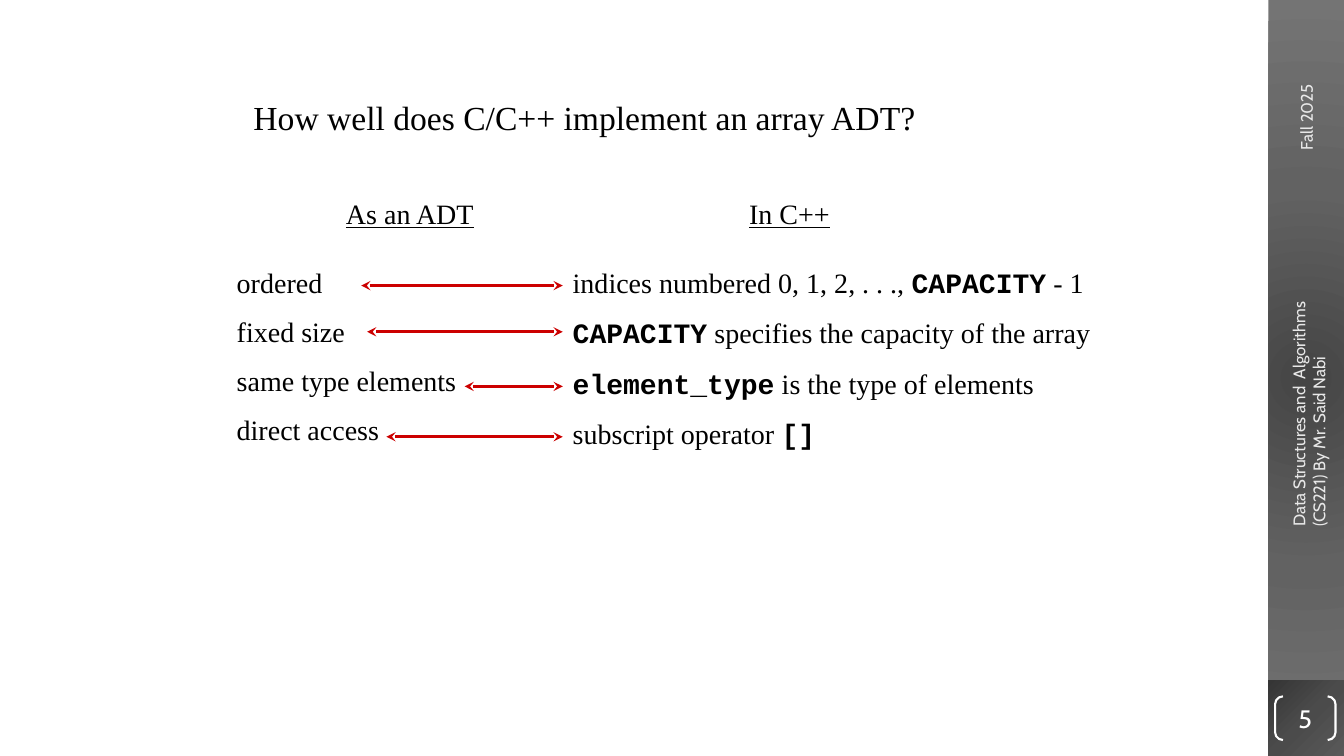
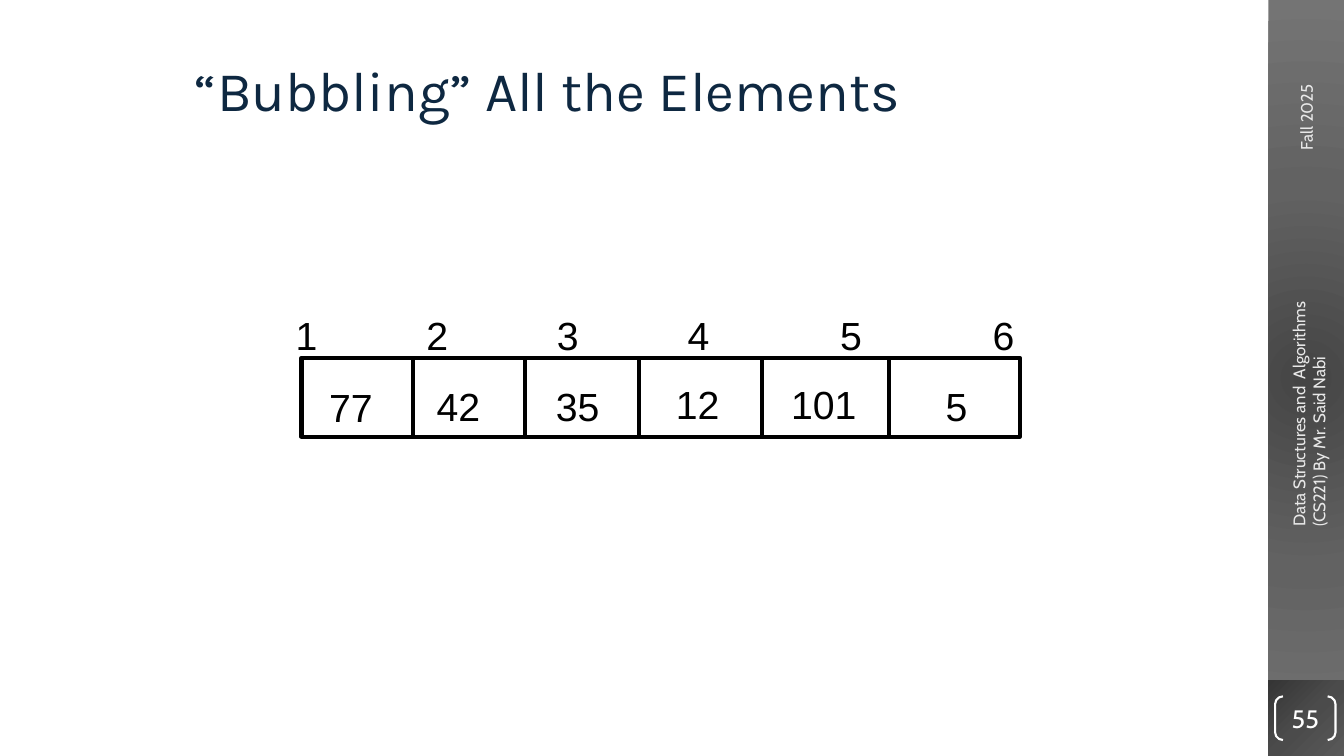
from dataclasses import dataclass
from itertools import accumulate
from typing import Any, NamedTuple, Sequence

from lxml.etree import SubElement
from pptx import Presentation
from pptx.dml.color import RGBColor
from pptx.enum.shapes import MSO_CONNECTOR, MSO_SHAPE
from pptx.enum.text import MSO_ANCHOR, PP_ALIGN
from pptx.oxml.ns import qn
from pptx.util import Inches, Length, Pt

COLS, ROWS = 160, 90  # square grid of 1/12 inch


@dataclass(frozen=True)
class Theme:
    ink: str = "000000"
    navy: str = "0E2841"
    red: str = "CC0000"
    pale: str = "E8E8E8"
    white: str = "FFFFFF"
    band: tuple[str, ...] = ("454545", "626262", "747474")
    badge: tuple[str, ...] = ("353535", "4B4B4B", "595959")
    serif: str = "Times New Roman"
    mono: str = "Courier New"
    sans: str = "Arial"
    head: str = "Karla"
    foot: str = "Cabin"
    thin: float = 1.5
    mid: float = 2.25
    thick: float = 3
    gap: int = 11

    def style(self, kind: str) -> dict[str, Any]:
        """Font values for one kind of text."""
        face, size, tint, more = {
            "ask": (self.serif, 24, self.ink, {}),
            "body": (self.serif, 20, self.ink, {}),
            "under": (self.serif, 20, self.ink, {"underline": True}),
            "code": (self.mono, 20, self.ink, {"bold": True}),
            "title": (self.head, 40, self.navy, {}),
            "cell": (self.sans, 28, self.ink, {}),
            "foot": (self.foot, 12, self.pale, {}),
            "page": (self.foot, 18, self.white, {}),
        }[kind]
        return {"name": face, "size": Pt(size), "tint": tint, **more}


THEME = Theme()


class Box(NamedTuple):
    """Left, top, width and height in grid units."""
    x: float
    y: float
    w: float
    h: float


class Span(NamedTuple):
    text: str
    kind: str = "body"


class Arrow(NamedTuple):
    start: float
    row: float


class Cell(NamedTuple):
    text: str
    x: float
    y: float
    w: float = 7.7


Line = Sequence[Span]


def unit(n: float) -> Length:
    return Inches(n / 12)


def place(box: Box) -> list[Length]:
    return [unit(n) for n in box]


def fill_text(frame: Any, lines: Sequence[Line], gap: float = 0,
              tabs: Sequence[float] = (), **form: Any) -> None:
    """Write styled lines; tab stops are in grid units."""
    for key, val in form.items():
        setattr(frame, key, val)
    for i, line in enumerate(lines):
        para = frame.add_paragraph() if i else frame.paragraphs[0]
        if i and gap:
            para.space_before = Pt(gap)
        if tabs:
            stops = SubElement(para._p.get_or_add_pPr(), qn("a:tabLst"))
            for tab in tabs:
                SubElement(stops, qn("a:tab"), pos=str(unit(tab)), algn="l")
        for span in line:
            run = para.add_run()
            run.text = span.text
            for key, val in THEME.style(span.kind).items():
                if key == "tint":
                    run.font.color.rgb = RGBColor.from_string(val)
                else:
                    setattr(run.font, key, val)


def add_text(slide: Any, box: Box, lines: Sequence[Line], turn: float = 0,
             wrap: bool = True, **form: Any) -> None:
    shape = slide.shapes.add_textbox(*place(box))
    shape.rotation = turn
    fill_text(shape.text_frame, lines, word_wrap=wrap, **form)


def add_block(slide: Any, kind: MSO_SHAPE, box: Box, line: str = "",
              width: float = 0) -> Any:
    """Add an unfilled shape, outlined only when a line colour is given."""
    shape = slide.shapes.add_shape(kind, *place(box))
    shape.shadow.inherit = False
    shape.fill.background()
    if line:
        shape.line.color.rgb = RGBColor.from_string(line)
        shape.line.width = Pt(width)
    else:
        shape.line.fill.background()
    return shape


def add_glow(slide: Any, box: Box, hues: Sequence[str],
             focus: Sequence[int]) -> None:
    """Add a block with a round gradient; focus is l, t, r, b in percent."""
    shape = add_block(slide, MSO_SHAPE.RECTANGLE, box)
    props = shape._element.spPr
    old = props.find(qn("a:noFill"))
    grad = props.makeelement(qn("a:gradFill"), {"rotWithShape": "1"})
    props.replace(old, grad)
    stops = SubElement(grad, qn("a:gsLst"))
    for i, hue in enumerate(hues):
        stop = SubElement(stops, qn("a:gs"),
                          pos=str(100000 * i // (len(hues) - 1)))
        SubElement(stop, qn("a:srgbClr"), val=hue)
    way = SubElement(grad, qn("a:path"), {"path": "circle"})
    SubElement(way, qn("a:fillToRect"),
               {k: str(n * 1000) for k, n in zip("ltrb", focus)})


def add_line(slide: Any, ends: Sequence[float], hue: str, width: float,
             tips: bool = False) -> None:
    link = slide.shapes.add_connector(MSO_CONNECTOR.STRAIGHT,
                                      *(unit(n) for n in ends))
    link.line.color.rgb = RGBColor.from_string(hue)
    link.line.width = Pt(width)
    if tips:
        for tag in ("a:headEnd", "a:tailEnd"):
            SubElement(link.line._get_or_add_ln(), qn(tag), type="stealth")
    SubElement(link._element.spPr, qn("a:effectLst"))


def add_page(deck: Any, page: int) -> Any:
    """Add a blank slide with the side band, footers and page number."""
    slide = deck.slides.add_slide(deck.slide_layouts[6])
    side = 9
    left = COLS - side
    add_glow(slide, Box(left, 0, side, ROWS), THEME.band, (50, 50, 50, 50))
    add_glow(slide, Box(left, ROWS - side, side, side), THEME.badge,
             (0, 0, 100, 100))
    add_text(slide, Box(147, 8.8, 17, 3.6), [[Span("Fall 2025", "foot")]], 270)
    add_text(slide, Box(139.8, 44.9, 32, 6),
             [[Span("Data Structures and  Algorithms", "foot")],
              [Span("(CS221) By Mr. Said Nabi", "foot")]], 270)
    mark = add_block(slide, MSO_SHAPE.DOUBLE_BRACKET,
                     Box(151.8, 82.9, 7.2, 5.2), THEME.white, THEME.thin)
    mark.adjustments[0] = 0.18
    sides = ("left", "top", "right", "bottom")
    fill_text(mark.text_frame, [[Span(str(page), "page")]],
              vertical_anchor=MSO_ANCHOR.MIDDLE,
              **{f"margin_{edge}": 0 for edge in sides})
    mark.text_frame.paragraphs[0].alignment = PP_ALIGN.CENTER
    return slide


def draw_adt(deck: Any) -> None:
    slide = add_page(deck, 5)
    add_text(slide, Box(29, 11, 103, 6),
             [[Span("How well does C/C++ implement an array ADT?", "ask")]])
    add_text(slide, Box(40, 22.8, 92, 5.2),
             [[Span("As an ADT", "under"), Span("\t"),
               Span("In C++", "under")]], tabs=[48])
    mid, top, step = 67, 31, 6
    for arrow in (Arrow(43, 34), Arrow(43.7, 39.5),
                  Arrow(55.3, 46), Arrow(46, 52)):
        add_line(slide, (arrow.start, arrow.row, mid, arrow.row),
                 THEME.red, THEME.mid, True)
    traits = ("ordered", "fixed size", "same type elements", "direct access")
    add_text(slide, Box(27, top, 33, 23.2), [[Span(t)] for t in traits],
             gap=THEME.gap)
    facts: list[Line] = [
        [Span("indices numbered 0, 1, 2, . . ., "), Span("CAPACITY", "code"),
         Span(" - 1")],
        [Span("CAPACITY", "code"),
         Span(" specifies the capacity of the array")],
        [Span("element_type", "code"), Span(" is the type of elements")],
        [Span("subscript operator "), Span("[]", "code")],
    ]
    for i, fact in enumerate(facts):
        add_text(slide, Box(mid, top + i * step, 70, 5.2), [fact])


def draw_sort(deck: Any) -> None:
    slide = add_page(deck, 55)
    frame = Box(35.9, 42.6, 85.5, 9.4)
    add_block(slide, MSO_SHAPE.RECTANGLE, frame, THEME.ink, THEME.thick)
    for x in (49.2, 62.5, 76.1, 90.7, 105.8):
        add_line(slide, (x, frame.y, x, frame.y + frame.h),
                 THEME.ink, THEME.thick)
    for cell in (Cell("77", 38, 45), Cell("42", 50.8, 44.9),
                 Cell("35", 65, 44.9), Cell("12", 79.3, 44.7),
                 Cell("101", 93, 44.7, 10.3), Cell("5", 111.4, 44.9, 5)):
        add_text(slide, Box(cell.x, cell.y, cell.w, 6.8),
                 [[Span(cell.text, "cell")]], wrap=False)
    marks = "\t".join(str(n) for n in range(1, 7))
    near, far = 15.56, 18.15
    add_text(slide, Box(34, 36.5, 93, 6.8), [[Span(marks, "cell")]],
             tabs=list(accumulate([near] * 3 + [far] * 2)))
    add_text(slide, Box(22, 6, 108, 13),
             [[Span("“Bubbling” All the Elements", "title")]])


def main() -> None:
    deck = Presentation()
    deck.slide_width, deck.slide_height = unit(COLS), unit(ROWS)
    draw_adt(deck)
    draw_sort(deck)
    deck.save("out.pptx")


if __name__ == "__main__":
    main()
